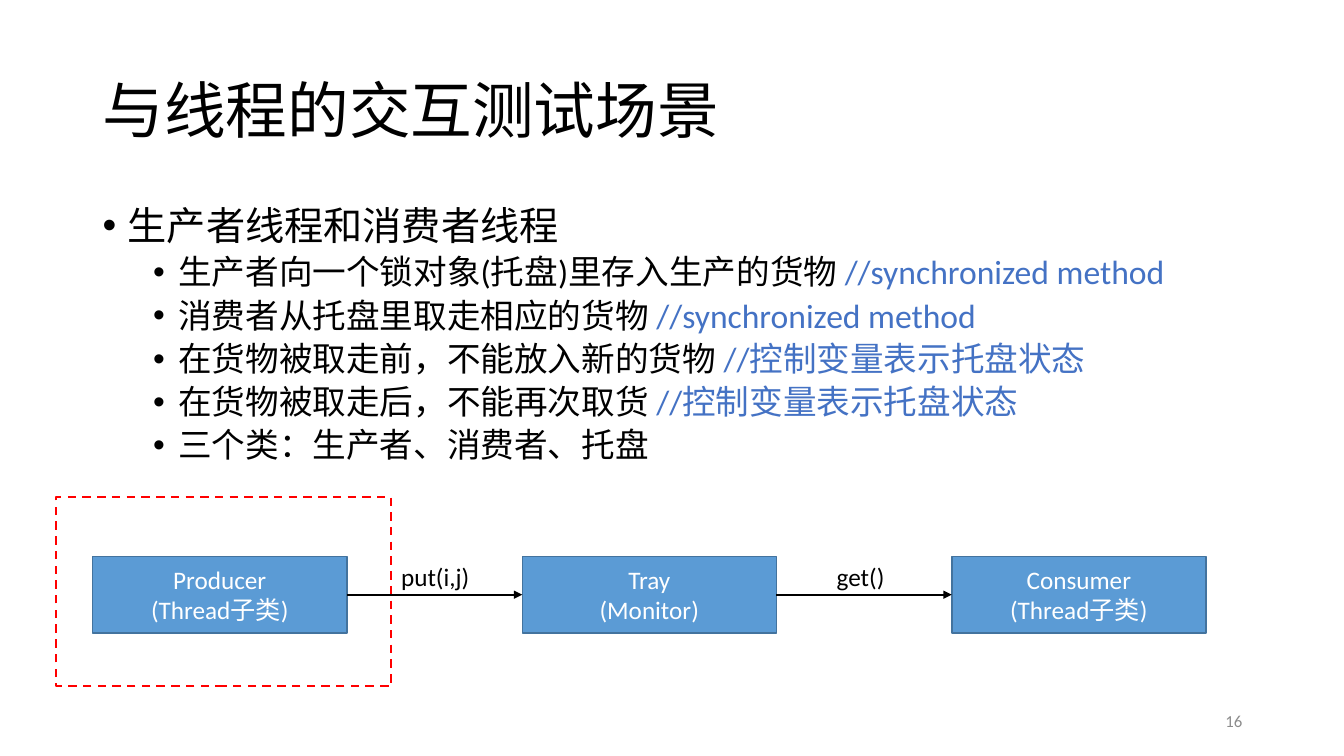
from dataclasses import dataclass

import pptx
import pptx.dml.color
import pptx.enum.dml
import pptx.enum.shapes
import pptx.enum.text
import pptx.oxml
import pptx.oxml.ns
import pptx.util

EMU_PER_PX = 9144  # 100 px to the inch
FONT = "Calibri"
COLORS = {
    "text": "000000",
    "comment": "4472C4",
    "box": "5B9BD5",
    "box_edge": "43739E",
    "box_text": "FFFFFF",
    "frame": "FF0000",
    "page": "8C8C8C",
}
ALIGN = pptx.enum.text.PP_ALIGN
ANCHOR = pptx.enum.text.MSO_ANCHOR


@dataclass(frozen=True)
class Bullet:
    text: str
    comment: str = ""
    size: int = 24
    indent: int = 75
    space_before: int = 5


@dataclass(frozen=True)
class Role:
    name: str
    kind: str


@dataclass(frozen=True)
class Call:
    text: str
    left: int
    width: int


TITLE = "与线程的交互测试场景"
BULLETS = [
    Bullet("生产者线程和消费者线程", size=28, indent=25, space_before=10),
    Bullet("生产者向一个锁对象(托盘)里存入生产的货物 ", "//synchronized method"),
    Bullet("消费者从托盘里取走相应的货物 ", "//synchronized method"),
    Bullet("在货物被取走前，不能放入新的货物 ", "//控制变量表示托盘状态"),
    Bullet("在货物被取走后，不能再次取货 ", "//控制变量表示托盘状态"),
    Bullet("三个类：生产者、消费者、托盘"),
]
ROLES = [
    Role("Producer", "(Thread子类)"),
    Role("Tray", "(Monitor)"),
    Role("Consumer", "(Thread子类)"),
]
CALLS = [Call("put(i,j)", 388, 89), Call("get()", 820, 68)]

MARGIN, CONTENT_WIDTH = 92, 1150
ROLE_WIDTH, ROLE_HEIGHT, ROLE_TOP, ROLE_STEP = 252, 76, 552, 426
HANGING = 25


def px(length: int) -> pptx.util.Emu:
    return pptx.util.Emu(length * EMU_PER_PX)


def rgb(color: str) -> pptx.dml.color.RGBColor:
    return pptx.dml.color.RGBColor.from_string(COLORS[color])


def style_run(run, size: int, color: str) -> None:
    run.font.name = FONT
    run.font.size = pptx.util.Pt(size)
    run.font.color.rgb = rgb(color)


def add_text(slide, left: int, top: int, width: int, height: int, text: str,
             size: int, color: str, align=ALIGN.LEFT, anchor=ANCHOR.MIDDLE,
             wrap: bool = True):
    box = slide.shapes.add_textbox(px(left), px(top), px(width), px(height))
    frame = box.text_frame
    frame.text = text
    frame.word_wrap = wrap
    frame.vertical_anchor = anchor
    paragraph = frame.paragraphs[0]
    paragraph.alignment = align
    style_run(paragraph.runs[0], size, color)
    return paragraph


def set_bullet(paragraph, indent: int) -> None:
    properties = paragraph._p.get_or_add_pPr()
    properties.set("marL", str(px(indent)))
    properties.set("indent", str(-px(HANGING)))
    for tag, name, value in (("a:buFont", "typeface", "Arial"), ("a:buChar", "char", "•")):
        mark = pptx.oxml.parse_xml(f'<{tag} {pptx.oxml.ns.nsdecls("a")} {name}="{value}"/>')
        properties.append(mark)


def add_bullets(slide, bullets: list[Bullet]) -> None:
    box = slide.shapes.add_textbox(px(MARGIN), px(200), px(CONTENT_WIDTH), px(277))
    frame = box.text_frame
    frame.word_wrap = True
    for number, bullet in enumerate(bullets):
        paragraph = frame.add_paragraph() if number else frame.paragraphs[0]
        paragraph.text = bullet.text
        paragraph.line_spacing = 0.9
        paragraph.space_before = pptx.util.Pt(bullet.space_before)
        set_bullet(paragraph, bullet.indent)
        style_run(paragraph.runs[0], bullet.size, "text")
        if bullet.comment:
            comment = paragraph.add_run()
            comment.text = bullet.comment
            style_run(comment, bullet.size, "comment")


def add_rectangle(slide, left: int, top: int, width: int, height: int,
                  edge: str, edge_width: float):
    rectangle = slide.shapes.add_shape(
        pptx.enum.shapes.MSO_SHAPE.RECTANGLE, px(left), px(top), px(width), px(height))
    rectangle.shadow.inherit = False
    rectangle.line.color.rgb = rgb(edge)
    rectangle.line.width = pptx.util.Pt(edge_width)
    return rectangle


def add_role(slide, left: int, role: Role) -> None:
    box = add_rectangle(slide, left, ROLE_TOP, ROLE_WIDTH, ROLE_HEIGHT, "box_edge", 1)
    box.fill.solid()
    box.fill.fore_color.rgb = rgb("box")
    box.text_frame.text = f"{role.name}\n{role.kind}"
    box.text_frame.vertical_anchor = ANCHOR.MIDDLE
    for paragraph in box.text_frame.paragraphs:
        paragraph.alignment = ALIGN.CENTER
        style_run(paragraph.runs[0], 18, "box_text")


def add_arrow(slide, start: int, end: int, y: int) -> None:
    arrow = slide.shapes.add_connector(
        pptx.enum.shapes.MSO_CONNECTOR.STRAIGHT, px(start), px(y), px(end), px(y))
    arrow.line.color.rgb = rgb("text")
    arrow.line.width = pptx.util.Pt(1.5)
    namespace = pptx.oxml.ns.nsdecls("a")
    arrow.line._get_or_add_ln().append(
        pptx.oxml.parse_xml(f'<a:tailEnd {namespace} type="triangle"/>'))
    arrow._element.spPr.append(pptx.oxml.parse_xml(f"<a:effectLst {namespace}/>"))


def add_thread_frame(slide) -> None:
    frame = add_rectangle(slide, 56, 493, 332, 188, "frame", 1.5)
    frame.fill.background()
    frame.line.dash_style = pptx.enum.dml.MSO_LINE.DASH


def main() -> None:
    deck = pptx.Presentation()
    deck.slide_width, deck.slide_height = px(1333), px(750)
    slide = deck.slides.add_slide(deck.slide_layouts[6])

    title = add_text(slide, MARGIN, 40, CONTENT_WIDTH, 145, TITLE, 44, "text")
    title.line_spacing = 0.9
    add_bullets(slide, BULLETS)

    role_lefts = [MARGIN + ROLE_STEP * number for number in range(len(ROLES))]
    for left, role in zip(role_lefts, ROLES):
        add_role(slide, left, role)
    for left, call in zip(role_lefts, CALLS):
        add_arrow(slide, left + ROLE_WIDTH, left + ROLE_STEP, ROLE_TOP + ROLE_HEIGHT // 2)
        add_text(slide, call.left, ROLE_TOP, call.width, 40, call.text, 18, "text",
                 anchor=ANCHOR.TOP, wrap=False)

    add_text(slide, 942, 695, 300, 40, "16", 12, "page", align=ALIGN.RIGHT)
    add_thread_frame(slide)
    deck.save("out.pptx")


if __name__ == "__main__":
    main()
